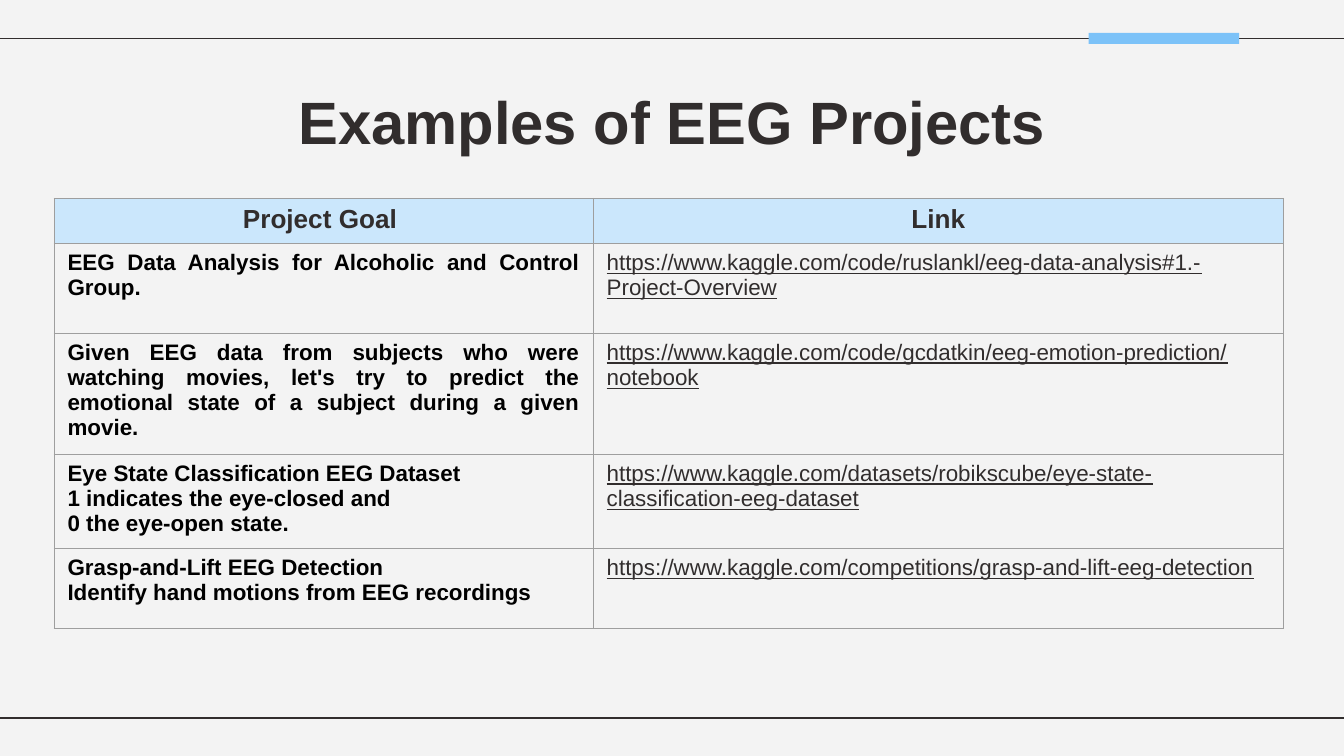
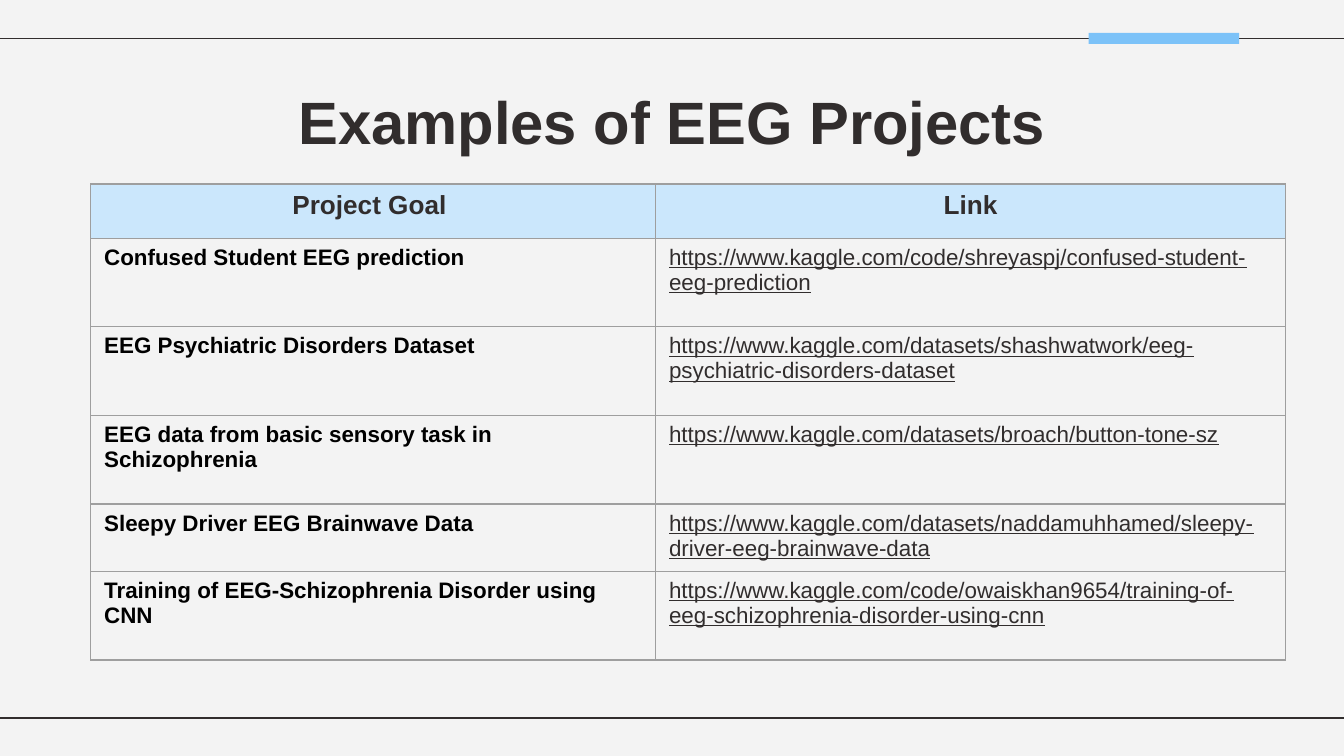
from lxml.etree import SubElement
from pptx import Presentation
from pptx.dml.color import RGBColor
from pptx.enum.shapes import MSO_CONNECTOR, MSO_SHAPE
from pptx.enum.text import MSO_ANCHOR, PP_ALIGN
from pptx.oxml.ns import qn
from pptx.util import Pt

WIDTH, HEIGHT = 720, 405
INK, BLACK, PAPER = "312D2D", "000000", "F3F3F3"
ACCENT, HEADER_FILL, GRID = "7CC2F8", "CBE7FC", "9E9E9E"
RULE_TOPS = (20.6, 384.6)
ACCENT_BAR = (583.2, 17.7, 80.6, 5.9)
TITLE = "Examples of EEG Projects"
TITLE_BOX = (56.7, 35.3, 606.8, 45.1)
TITLE_MARGINS = {"margin_left": 7.2, "margin_top": 10.2, "margin_right": 7.2, "margin_bottom": 7.2}
HEADERS = ("Project Goal ", " Link ")

TITLE_FONT = {"name": "Arial", "size": Pt(32), "bold": True}
HEADER_FONT = {"name": "Arial", "size": Pt(14), "bold": True}
GOAL_FONT = {"name": "Arial", "size": Pt(12), "bold": True}
LINK_FONT = {"name": "Arial", "size": Pt(12), "bold": False, "underline": True}

SLIDES = [
    {
        "corner": (29, 106.3),
        "columns": (288.8, 369.7),
        "heights": (24.2, 48.2, 61.8, 48.2, 43),
        "goal_align": PP_ALIGN.JUSTIFY,
        "projects": [
            (["EEG Data Analysis for Alcoholic and Control Group."],
             "https://www.kaggle.com/code/ruslankl/eeg-data-analysis#1.-Project-Overview"),
            (["Given EEG data from subjects who were watching movies, let's try to predict "
              "the emotional state of a subject during a given movie."],
             "https://www.kaggle.com/code/gcdatkin/eeg-emotion-prediction/notebook"),
            (["Eye State Classification EEG Dataset",
              "1 indicates the eye-closed and",
              "0 the eye-open state."],
             "https://www.kaggle.com/datasets/robikscube/eye-state-classification-eeg-dataset"),
            (["Grasp-and-Lift EEG Detection",
              "Identify hand motions from EEG recordings"],
             "https://www.kaggle.com/competitions/grasp-and-lift-eeg-detection"),
        ],
    },
    {
        "corner": (48.6, 98.6),
        "columns": (302.6, 337.6),
        "heights": (29, 47.5, 47.5, 47.5, 34.4, 47.5),
        "goal_align": PP_ALIGN.LEFT,
        "projects": [
            (["Confused Student EEG prediction"],
             "https://www.kaggle.com/code/shreyaspj/confused-student-eeg-prediction"),
            (["EEG Psychiatric Disorders Dataset"],
             "https://www.kaggle.com/datasets/shashwatwork/eeg-psychiatric-disorders-dataset"),
            (["EEG data from basic sensory task in Schizophrenia"],
             "https://www.kaggle.com/datasets/broach/button-tone-sz"),
            (["Sleepy Driver EEG Brainwave Data"],
             "https://www.kaggle.com/datasets/naddamuhhamed/sleepy-driver-eeg-brainwave-data"),
            (["Training of EEG-Schizophrenia Disorder using CNN"],
             "https://www.kaggle.com/code/owaiskhan9654/training-of-eeg-schizophrenia-disorder-using-cnn"),
        ],
    },
]


def color(value):
    return RGBColor.from_string(value)


def points(values):
    return [Pt(value) for value in values]


def write(frame, lines, font, ink, align):
    for index, line in enumerate(lines):
        para = frame.paragraphs[0] if index == 0 else frame.add_paragraph()
        para.alignment = align
        span = para.add_run()
        span.text = line
        for name, value in font.items():
            setattr(span.font, name, value)
        span.font.color.rgb = color(ink)


def add_frame(page):
    page.background.fill.solid()
    page.background.fill.fore_color.rgb = color(PAPER)
    for top in RULE_TOPS:
        rule = page.shapes.add_connector(MSO_CONNECTOR.STRAIGHT, *points((0, top, WIDTH, top)))
        rule.line.color.rgb = color(INK)
        rule.line.width = Pt(0.75)
        SubElement(rule._element.spPr, qn("a:effectLst"))
    bar = page.shapes.add_shape(MSO_SHAPE.RECTANGLE, *points(ACCENT_BAR))
    bar.shadow.inherit = False
    bar.fill.solid()
    bar.fill.fore_color.rgb = color(ACCENT)
    bar.line.fill.background()


def add_title(page):
    frame = page.shapes.add_textbox(*points(TITLE_BOX)).text_frame
    frame.word_wrap = True
    frame.vertical_anchor = MSO_ANCHOR.TOP
    for name, value in TITLE_MARGINS.items():
        setattr(frame, name, Pt(value))
    write(frame, [TITLE], TITLE_FONT, INK, PP_ALIGN.CENTER)


def style_cell(cell, fill=None):
    properties = cell._tc.get_or_add_tcPr()
    for side in ("lnL", "lnR", "lnT", "lnB"):
        border = SubElement(properties, qn(f"a:{side}"), w=str(Pt(0.75)))
        SubElement(SubElement(border, qn("a:solidFill")), qn("a:srgbClr"), val=GRID)
    if fill:
        cell.fill.solid()
        cell.fill.fore_color.rgb = color(fill)
    else:
        cell.fill.background()


def add_projects(page, content):
    columns, heights = content["columns"], content["heights"]
    area = (*content["corner"], sum(columns), sum(heights))
    table = page.shapes.add_table(len(heights), len(columns), *points(area)).table
    table.horz_banding = False
    for column, width in zip(table.columns, columns):
        column.width = Pt(width)
    for row, height in zip(table.rows, heights):
        row.height = Pt(height)
    for column, header in enumerate(HEADERS):
        cell = table.cell(0, column)
        style_cell(cell, HEADER_FILL)
        write(cell.text_frame, [header], HEADER_FONT, INK, PP_ALIGN.CENTER)
    for row, (goal, link) in enumerate(content["projects"], 1):
        goal_align = content["goal_align"] if len(goal) == 1 else PP_ALIGN.LEFT
        parts = ((goal, GOAL_FONT, BLACK, goal_align), ([link], LINK_FONT, INK, PP_ALIGN.LEFT))
        for column, part in enumerate(parts):
            cell = table.cell(row, column)
            style_cell(cell)
            write(cell.text_frame, *part)


def main():
    deck = Presentation()
    deck.slide_width, deck.slide_height = points((WIDTH, HEIGHT))
    for content in SLIDES:
        page = deck.slides.add_slide(deck.slide_layouts[6])
        add_frame(page)
        add_title(page)
        add_projects(page, content)
    deck.save("out.pptx")


if __name__ == "__main__":
    main()
